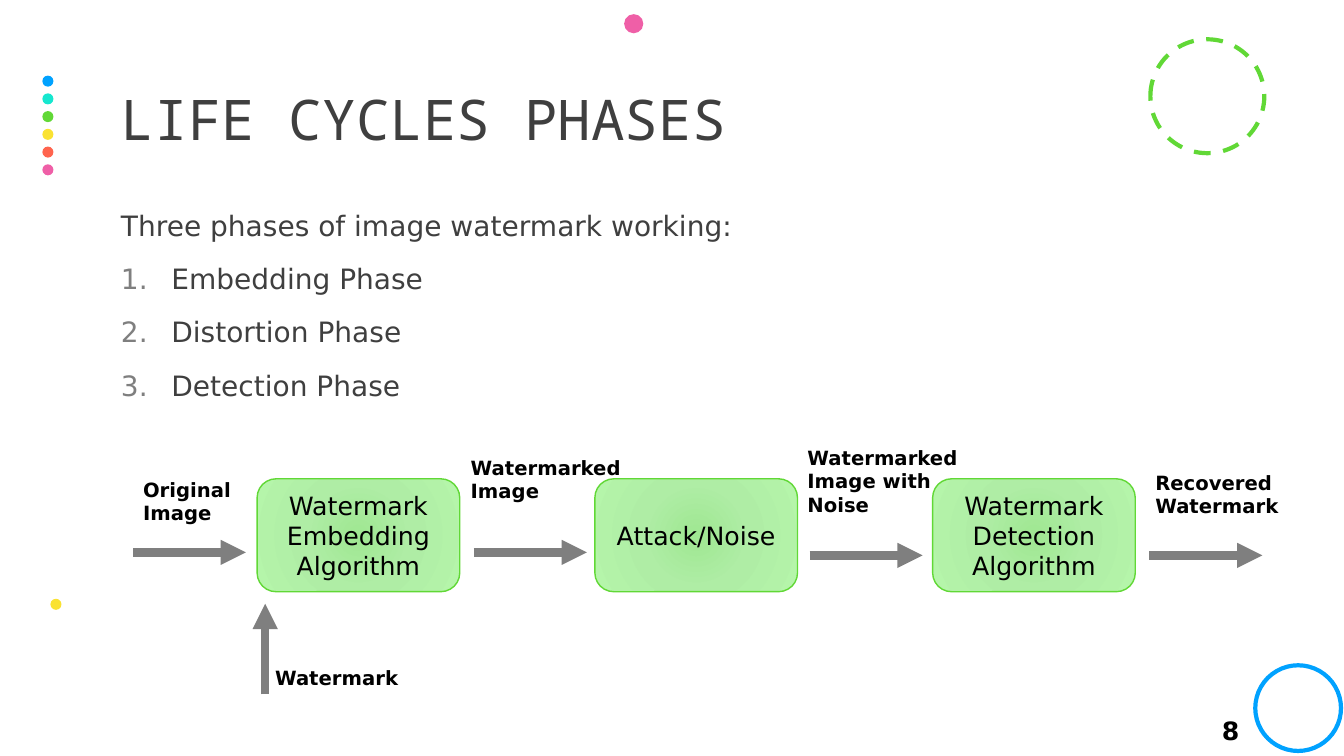
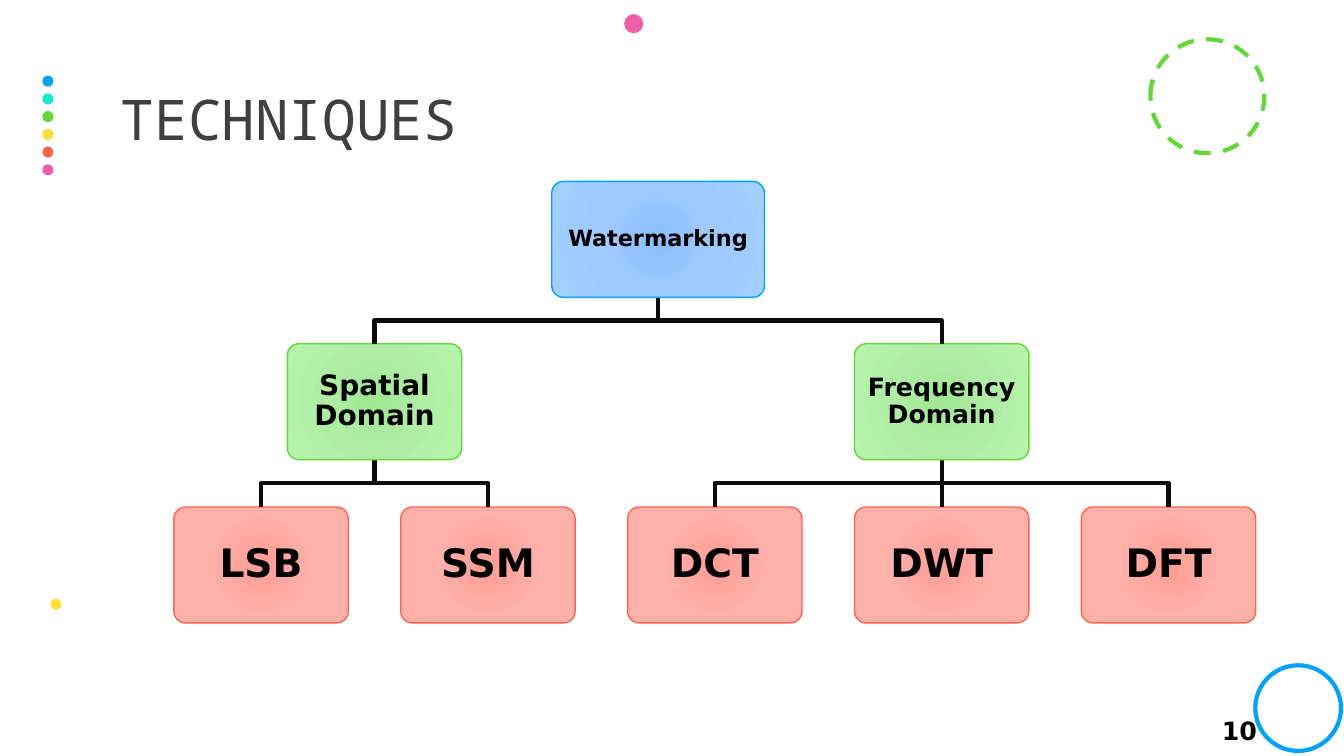
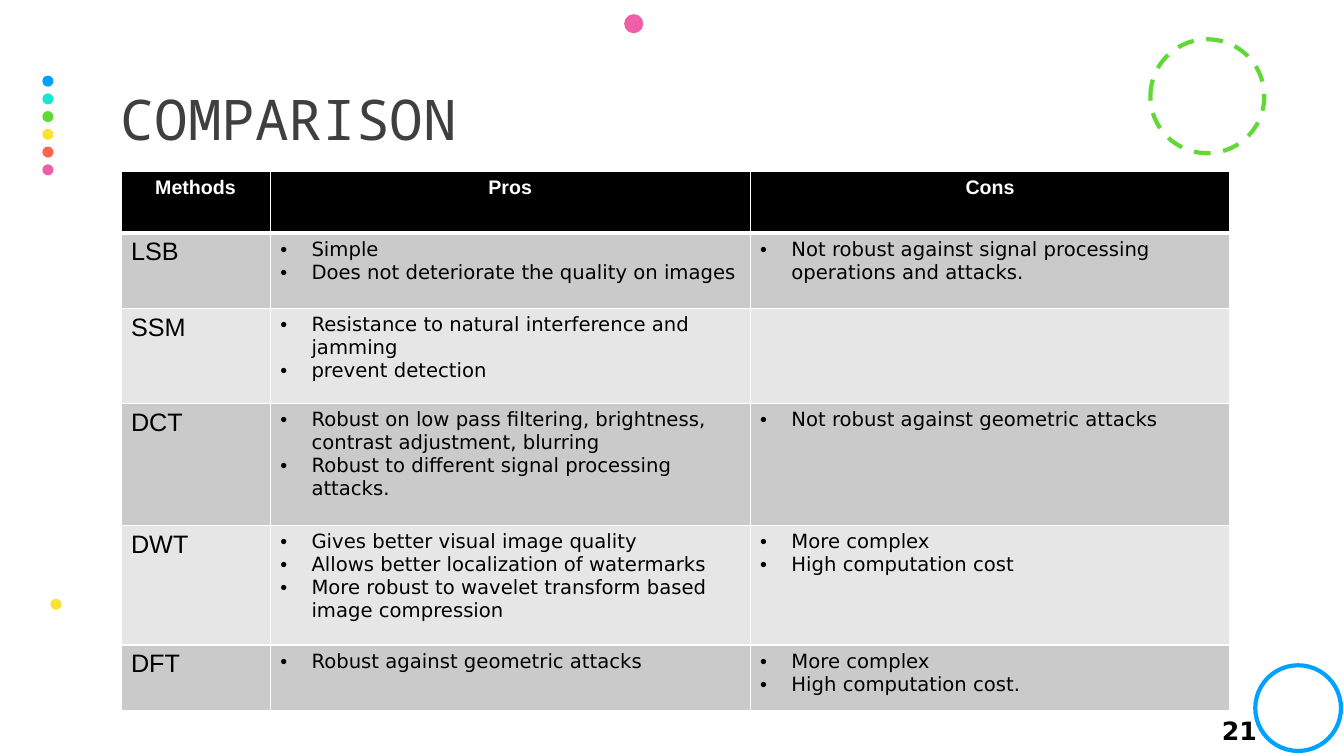
from dataclasses import dataclass, replace

from lxml import etree
from pptx import Presentation
from pptx.dml.color import RGBColor
from pptx.enum.dml import MSO_LINE
from pptx.enum.shapes import MSO_CONNECTOR, MSO_SHAPE
from pptx.enum.text import MSO_ANCHOR, MSO_AUTO_SIZE, PP_ALIGN
from pptx.oxml import parse_xml
from pptx.oxml.ns import nsdecls, qn
from pptx.util import Inches, Pt

OVAL, ROUNDED = MSO_SHAPE.OVAL, MSO_SHAPE.ROUNDED_RECTANGLE
STRAIGHT, DASH = MSO_CONNECTOR.STRAIGHT, MSO_LINE.DASH
LEFT, CENTER = PP_ALIGN.LEFT, PP_ALIGN.CENTER
TOP, MIDDLE = MSO_ANCHOR.TOP, MSO_ANCHOR.MIDDLE
NO_AUTOFIT = MSO_AUTO_SIZE.NONE
TITLE_ONLY = 5

COLORS = {
    "blue": "00A2FF", "teal": "16E7CF", "green": "61D836", "yellow": "FAE232",
    "coral": "FF644E", "pink": "EF5FA7", "text": "3F3F3F", "gray": "7F7F7F",
    "black": "000000", "white": "FFFFFF", "link": "0C0C0C",
    "dark row": "CACACA", "light row": "E6E6E6",
}
GRADIENTS = {
    "blue": ("8ABFFF", "9ECAFF", "A1CFFF"),
    "green": ("9FE792", "AFEDA5", "B5F5AA"),
    "coral": ("FF9C94", "FFAEA7", "FFB0A9"),
}
GRADIENT_STOPS = (0, 45, 100)
DOT_COLORS = ("blue", "teal", "green", "yellow", "coral", "pink")


@dataclass(frozen=True)
class TextStyle:
    size: float
    font: str = "DejaVu Sans"
    color: str = "black"
    bold: bool = False
    align: PP_ALIGN = LEFT
    line_spacing: float = 1.0
    space_before: float = 0


@dataclass(frozen=True)
class Bullet:
    tag: str
    attribute: str
    value: str
    color: str
    indent: float


@dataclass(frozen=True)
class Box:
    left: float
    top: float
    width: float
    height: float

    def lengths(self) -> list:
        return [Inches(n) for n in (self.left, self.top, self.width, self.height)]


@dataclass(frozen=True)
class Circle:
    left: float
    top: float
    size: float
    color: str
    outlined: bool = False
    dashed: bool = False


@dataclass(frozen=True)
class Label:
    box: Box
    lines: tuple


@dataclass(frozen=True)
class Arrow:
    x1: float
    y1: float
    x2: float
    y2: float


@dataclass(frozen=True)
class Node:
    text: str
    size: float
    children: tuple = ()


@dataclass(frozen=True)
class Level:
    top: float
    width: float
    color: str


@dataclass(frozen=True)
class Method:
    name: str
    pros: tuple
    cons: tuple = ()


TITLE = TextStyle(40, "Noto Sans Mono", "text", line_spacing=0.9)
PAGE_NUMBER = TextStyle(18, bold=True)
BODY = TextStyle(20, color="text")
PHASE = replace(BODY, space_before=14)
STEP = TextStyle(18, align=CENTER)
LABEL = TextStyle(14, bold=True)
NODE = TextStyle(16, bold=True, align=CENTER, line_spacing=0.9)
TABLE_HEAD = TextStyle(14, "Arial", "white", True, CENTER)
METHOD_NAME = TextStyle(18, "Arial")
TABLE_ITEM = TextStyle(14)

NUMBERED = Bullet("a:buAutoNum", "type", "arabicPeriod", "gray", 0.5)
DOTTED = Bullet("a:buChar", "char", "•", "black", 0.31)

CIRCLES = [Circle(0.42, 0.75 + i * 0.88 / 5, 0.11, color)
           for i, color in enumerate(DOT_COLORS)] + [
    Circle(11.41, 0.39, 1.13, "green", outlined=True, dashed=True),
    Circle(6.19, 0.14, 0.19, "pink"),
    Circle(0.5, 5.94, 0.11, "yellow"),
    Circle(12.45, 6.6, 0.85, "blue", outlined=True),
]

PHASES = ("Embedding Phase", "Distortion Phase", "Detection Phase")
STEPS = ("Watermark Embedding Algorithm", "Attack/Noise",
         "Watermark Detection Algorithm")
ARROWS = (
    Arrow(1.32, 5.48, 2.44, 5.48),
    Arrow(4.7, 5.48, 5.82, 5.48),
    Arrow(8.03, 5.51, 9.15, 5.51),
    Arrow(11.4, 5.51, 12.52, 5.51),
    Arrow(2.63, 6.89, 2.63, 5.99),
)
LABELS = (
    Label(Box(2.63, 6.56, 1.46, 0.34), ("Watermark",)),
    Label(Box(1.32, 4.69, 1.12, 0.57), ("Original Image",)),
    Label(Box(4.57, 4.47, 1.81, 0.57), ("Watermarked Image",)),
    Label(Box(7.91, 4.37, 1.81, 0.81), ("Watermarked Image with", "Noise")),
    Label(Box(11.36, 4.62, 1.81, 0.57), ("Recovered Watermark",)),
)

TECHNIQUES = Node("Watermarking", 16, (
    Node("Spatial Domain", 20, (Node("LSB", 28), Node("SSM", 28))),
    Node("Frequency Domain", 18,
         (Node("DCT", 28), Node("DWT", 28), Node("DFT", 28))),
))
LEVELS = (Level(1.8, 2.11, "blue"), Level(3.41, 1.73, "green"),
          Level(5.03, 1.73, "coral"))
NODE_HEIGHT = 1.15
FIRST_LEAF_CENTER, LEAF_PITCH = 2.59, 2.25

TABLE_HEADINGS = ("Methods", "Pros", "Cons")
COLUMN_WIDTHS = (1.48, 4.76, 4.76)
ROW_HEIGHTS = (0.61, 0.75, 0.94, 1.21, 1.19, 0.65)
METHODS = (
    Method("LSB", ("Simple", "Does not deteriorate the quality on images"),
           ("Not robust against signal processing operations and attacks.",)),
    Method("SSM", ("Resistance to natural interference and jamming",
                   "prevent detection")),
    Method("DCT", ("Robust on low pass filtering, brightness, contrast "
                   "adjustment, blurring",
                   "Robust to different signal processing attacks."),
           ("Not robust against geometric attacks",)),
    Method("DWT", ("Gives better visual image quality",
                   "Allows better localization of watermarks",
                   "More robust to wavelet transform based image compression"),
           ("More complex", "High computation cost")),
    Method("DFT", ("Robust against geometric attacks",),
           ("More complex", "High computation cost.")),
)


def rgb(name: str) -> RGBColor:
    return RGBColor.from_string(COLORS[name])


def add_color(parent, tag: str, color: str) -> None:
    holder = etree.SubElement(parent, qn(tag))
    etree.SubElement(holder, qn("a:srgbClr"), val=COLORS[color])


def set_bullet(paragraph, bullet: Bullet) -> None:
    properties = paragraph._p.get_or_add_pPr()
    properties.set("marL", str(Inches(bullet.indent)))
    properties.set("indent", str(-Inches(bullet.indent)))
    add_color(properties, "a:buClr", bullet.color)
    etree.SubElement(properties, qn("a:buFont"), typeface="Arial" if
                     bullet.tag == "a:buChar" else "+mj-lt")
    mark = etree.SubElement(properties, qn(bullet.tag))
    mark.set(bullet.attribute, bullet.value)


def write_lines(frame, lines: tuple, style: TextStyle,
                bullet: Bullet | None = None, append: bool = False) -> None:
    for i, line in enumerate(lines):
        new = append or i > 0
        paragraph = frame.add_paragraph() if new else frame.paragraphs[0]
        paragraph.alignment = style.align
        paragraph.line_spacing = style.line_spacing
        paragraph.space_before = Pt(style.space_before)
        if bullet:
            set_bullet(paragraph, bullet)
        run = paragraph.add_run()
        run.text = line
        run.font.size = Pt(style.size)
        run.font.name = style.font
        run.font.bold = style.bold
        run.font.color.rgb = rgb(style.color)


def format_frame(frame, anchor: MSO_ANCHOR, side: float = 0.1,
                 edge: float = 0.05) -> None:
    frame.word_wrap = True
    frame.auto_size = NO_AUTOFIT
    frame.vertical_anchor = anchor
    frame.margin_left = frame.margin_right = Inches(side)
    frame.margin_top = frame.margin_bottom = Inches(edge)


def add_text(slide, box: Box, lines: tuple, style: TextStyle,
             anchor: MSO_ANCHOR = TOP, side: float = 0.1):
    frame = slide.shapes.add_textbox(*box.lengths()).text_frame
    format_frame(frame, anchor, side)
    write_lines(frame, lines, style)
    return frame


def add_circle(slide, circle: Circle) -> None:
    box = Box(circle.left, circle.top, circle.size, circle.size)
    shape = slide.shapes.add_shape(OVAL, *box.lengths())
    shape.shadow.inherit = False
    if circle.outlined:
        shape.fill.background()
        shape.line.color.rgb = rgb(circle.color)
        shape.line.width = Pt(3)
        if circle.dashed:
            shape.line.dash_style = DASH
    else:
        shape.fill.solid()
        shape.fill.fore_color.rgb = rgb(circle.color)
        shape.line.fill.background()


def set_radial_fill(shape, color: str) -> None:
    stops = "".join(
        f'<a:gs pos="{position * 1000}"><a:srgbClr val="{value}"/></a:gs>'
        for position, value in zip(GRADIENT_STOPS, GRADIENTS[color]))
    gradient = parse_xml(
        f'<a:gradFill {nsdecls("a")} rotWithShape="1"><a:gsLst>{stops}</a:gsLst>'
        '<a:path path="circle"><a:fillToRect l="50000" t="50000" r="50000" '
        'b="50000"/></a:path></a:gradFill>')
    shape.fill.background()
    properties = shape.element.spPr
    properties.replace(properties.find(qn("a:noFill")), gradient)


def add_card(slide, box: Box, color: str, text: str, style: TextStyle,
             corner: float, side: float, edge: float) -> None:
    shape = slide.shapes.add_shape(ROUNDED, *box.lengths())
    shape.shadow.inherit = False
    shape.adjustments[0] = corner
    set_radial_fill(shape, color)
    shape.line.color.rgb = rgb(color)
    shape.line.width = Pt(1)
    format_frame(shape.text_frame, MIDDLE, side, edge)
    write_lines(shape.text_frame, (text,), style)


def add_line(slide, ends: Arrow, color: str, width: float):
    points = [Inches(n) for n in (ends.x1, ends.y1, ends.x2, ends.y2)]
    connector = slide.shapes.add_connector(STRAIGHT, *points)
    connector.line.color.rgb = rgb(color)
    connector.line.width = Pt(width)
    etree.SubElement(connector.element.spPr, qn("a:effectLst"))
    return connector


def add_arrow(slide, arrow: Arrow) -> None:
    connector = add_line(slide, arrow, "gray", 6)
    line = connector.element.spPr.find(qn("a:ln"))
    etree.SubElement(line, qn("a:tailEnd"), type="triangle")


def add_slide(presentation, title: str, number: str):
    slide = presentation.slides.add_slide(presentation.slide_layouts[TITLE_ONLY])
    heading = slide.shapes.title
    (heading.left, heading.top, heading.width,
     heading.height) = Box(1.2, 0.46, 11, 1.5).lengths()
    format_frame(heading.text_frame, MIDDLE, side=0)
    write_lines(heading.text_frame, (title,), TITLE)
    for circle in CIRCLES:
        add_circle(slide, circle)
    add_text(slide, Box(12.02, 7.05, 0.85, 0.4), (number,), PAGE_NUMBER, MIDDLE)
    return slide


def draw_life_cycle(slide) -> None:
    body = add_text(slide, Box(1.2, 2.02, 11, 2.2),
                    ("Three phases of image watermark working:",), BODY, side=0)
    write_lines(body, PHASES, PHASE, NUMBERED, append=True)
    for i, step in enumerate(STEPS):
        add_card(slide, Box(2.55 + 3.35 * i, 4.75, 2.01, 1.12), "green", step,
                 STEP, corner=0.167, side=0.1, edge=0.05)
    for arrow in ARROWS:
        add_arrow(slide, arrow)
    for label in LABELS:
        add_text(slide, label.box, label.lines, LABEL)


def add_link(slide, parent_x: float, child_x: float, top: float,
             bottom: float) -> None:
    if abs(parent_x - child_x) < 0.01:
        add_line(slide, Arrow(parent_x, top, parent_x, bottom), "link", 3)
        return
    middle = (top + bottom) / 2
    corners = ((parent_x, middle), (child_x, middle), (child_x, bottom))
    builder = slide.shapes.build_freeform(Inches(parent_x), Inches(top))
    builder.add_line_segments([(Inches(x), Inches(y)) for x, y in corners],
                              close=False)
    link = builder.convert_to_shape()
    link.shadow.inherit = False
    link.fill.background()
    link.line.color.rgb = rgb("link")
    link.line.width = Pt(3)


def draw_tree(slide, node: Node, depth: int = 0, first_leaf: int = 0) -> tuple:
    """Draw a node above its children; return its centre and the next free leaf."""
    level = LEVELS[depth]
    centers, next_leaf = [], first_leaf
    for child in node.children:
        child_center, next_leaf = draw_tree(slide, child, depth + 1, next_leaf)
        centers.append(child_center)
    if centers:
        center = (centers[0] + centers[-1]) / 2
    else:
        center = FIRST_LEAF_CENTER + LEAF_PITCH * first_leaf
        next_leaf += 1
    for child_center in centers:
        add_link(slide, center, child_center, level.top + NODE_HEIGHT,
                 LEVELS[depth + 1].top)
    box = Box(center - level.width / 2, level.top, level.width, NODE_HEIGHT)
    add_card(slide, box, level.color, node.text, replace(NODE, size=node.size),
             corner=0.1, side=0.06, edge=0.06)
    return center, next_leaf


def set_borders(cell, top: float, bottom: float) -> None:
    properties = cell._tc.get_or_add_tcPr()
    widths = {"a:lnL": 1, "a:lnR": 1, "a:lnT": top, "a:lnB": bottom}
    for i, (tag, width) in enumerate(widths.items()):
        border = etree.Element(qn(tag), w=str(Pt(width)))
        add_color(border, "a:solidFill", "white")
        properties.insert(i, border)


def draw_comparison(slide) -> None:
    box = Box(1.2, 1.7, sum(COLUMN_WIDTHS), sum(ROW_HEIGHTS))
    table = slide.shapes.add_table(len(ROW_HEIGHTS), len(COLUMN_WIDTHS),
                                   *box.lengths()).table
    for column, width in zip(table.columns, COLUMN_WIDTHS):
        column.width = Inches(width)
    for row, height in zip(table.rows, ROW_HEIGHTS):
        row.height = Inches(height)
    for column, heading in enumerate(TABLE_HEADINGS):
        write_lines(table.cell(0, column).text_frame, (heading,), TABLE_HEAD)
    for row, method in enumerate(METHODS, start=1):
        write_lines(table.cell(row, 0).text_frame, (method.name,), METHOD_NAME)
        for column, items in enumerate((method.pros, method.cons), start=1):
            write_lines(table.cell(row, column).text_frame, items, TABLE_ITEM,
                        DOTTED)
    for i, row in enumerate(table.rows):
        color = "black" if i == 0 else "dark row" if i % 2 else "light row"
        for cell in row.cells:
            cell.fill.solid()
            cell.fill.fore_color.rgb = rgb(color)
            set_borders(cell, top=3 if i == 1 else 1, bottom=3 if i == 0 else 1)


def main() -> None:
    presentation = Presentation()
    presentation.slide_width = Inches(13.33)
    presentation.slide_height = Inches(7.5)
    draw_life_cycle(add_slide(presentation, "LIFE CYCLES PHASES", "8"))
    draw_tree(add_slide(presentation, "TECHNIQUES", "10"), TECHNIQUES)
    draw_comparison(add_slide(presentation, "COMPARISON", "21"))
    presentation.save("out.pptx")


if __name__ == "__main__":
    main()
